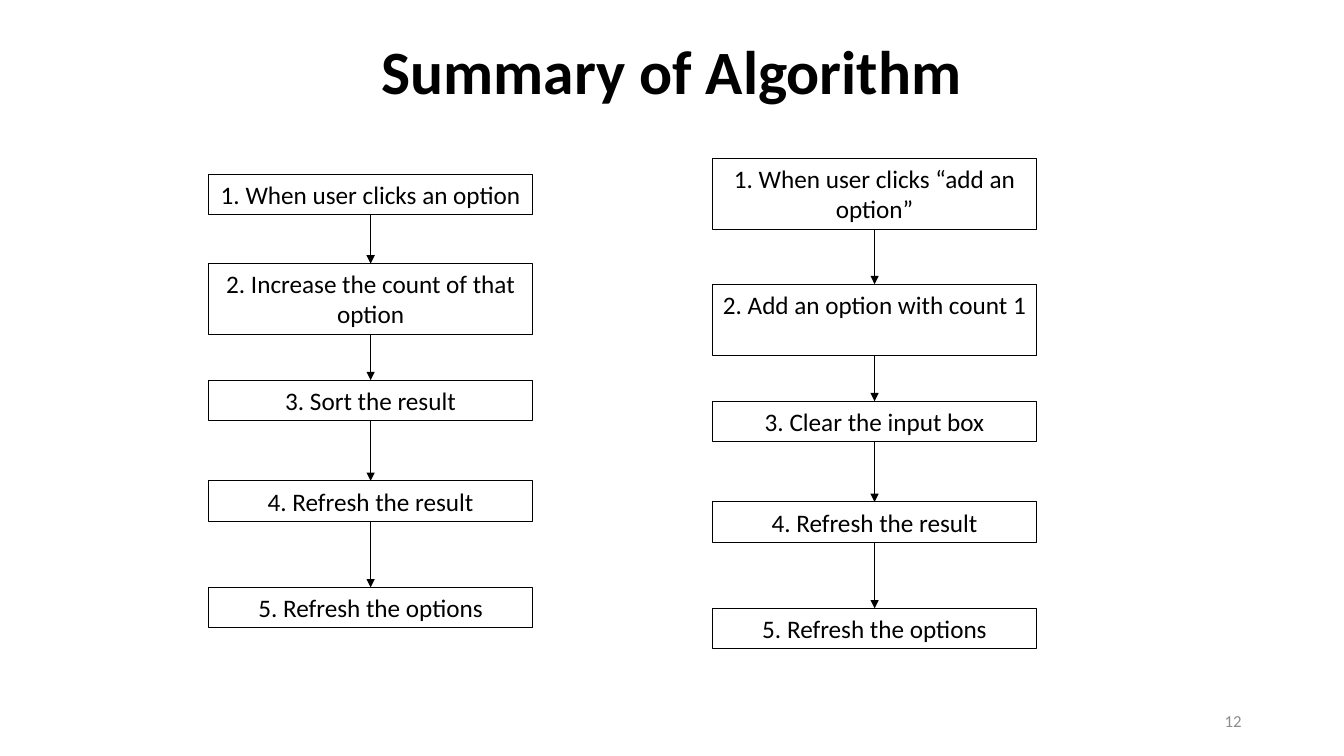
import pptx
import pptx.util
import pptx.dml.color
import pptx.enum.shapes
import pptx.enum.text
import pptx.oxml
import pptx.oxml.ns
from lxml import etree

Cm, Pt = pptx.util.Cm, pptx.util.Pt
RGBColor = pptx.dml.color.RGBColor
ALIGN = pptx.enum.text.PP_ALIGN
ANCHOR = pptx.enum.text.MSO_ANCHOR

BLACK = RGBColor(0x00, 0x00, 0x00)
WHITE = RGBColor(0xFF, 0xFF, 0xFF)
GRAY = RGBColor(0x8C, 0x8C, 0x8C)

BOX_W = 8.16
ONE_LINE, TWO_LINES = 1.02, 1.8

prs = pptx.Presentation()
prs.slide_width, prs.slide_height = Cm(33.87), Cm(19.05)
s = prs.slides.add_slide(prs.slide_layouts[6])


def write(sp, text, size, color, align, anchor):
    tf = sp.text_frame
    tf.word_wrap = True
    tf.vertical_anchor = anchor
    p = tf.paragraphs[0]
    p.text = text
    p.alignment = align
    p.font.name = "Calibri"
    p.font.size = Pt(size)
    p.font.color.rgb = color
    return p


# Title and slide number
sp = s.shapes.add_textbox(Cm(2.33), Cm(0.79), Cm(29.21), Cm(2.18))
p = write(sp, "Summary of Algorithm", 44, BLACK, ALIGN.CENTER, ANCHOR.MIDDLE)
p.font.bold = True
p.line_spacing = 0.9
sp = s.shapes.add_textbox(Cm(23.92), Cm(17.65), Cm(7.62), Cm(1.01))
write(sp, "12", 12, GRAY, ALIGN.RIGHT, ANCHOR.MIDDLE)

# Flow columns: left edge, then (top, height, text) of each step
flows = [
    (5.26, [
        (4.39, ONE_LINE, "1. When user clicks an option"),
        (6.64, TWO_LINES, "2. Increase the count of that option"),
        (9.58, ONE_LINE, "3. Sort the result"),
        (12.12, ONE_LINE, "4. Refresh the result"),
        (14.8, ONE_LINE, "5. Refresh the options"),
    ]),
    (17.96, [
        (3.99, TWO_LINES, "1. When user clicks “add an option”"),
        (7.16, TWO_LINES, "2. Add an option with count 1"),
        (10.11, ONE_LINE, "3. Clear the input box"),
        (12.65, ONE_LINE, "4. Refresh the result"),
        (15.33, ONE_LINE, "5. Refresh the options"),
    ]),
]

for left, steps in flows:
    # Step boxes
    boxes = []
    for top, height, text in steps:
        sp = s.shapes.add_shape(pptx.enum.shapes.MSO_SHAPE.RECTANGLE,
                                Cm(left), Cm(top), Cm(BOX_W), Cm(height))
        sp.shadow.inherit = False
        sp.fill.solid()
        sp.fill.fore_color.rgb = WHITE
        sp.line.color.rgb = BLACK
        sp.line.width = Pt(0.75)
        sp.text_frame.margin_left = sp.text_frame.margin_right = Cm(0.2)
        write(sp, text, 18, BLACK, ALIGN.CENTER, ANCHOR.TOP)
        boxes.append(sp)

    # Arrows from the bottom of each box to the top of the next
    for upper, lower in zip(boxes, boxes[1:]):
        arrow = s.shapes.add_connector(
            pptx.enum.shapes.MSO_CONNECTOR.STRAIGHT, 0, 0, 0, 0)
        arrow.begin_connect(upper, 2)
        arrow.end_connect(lower, 0)
        arrow.line.color.rgb = BLACK
        arrow.line.width = Pt(0.5)
        ln = arrow.line._get_or_add_ln()
        etree.SubElement(ln, pptx.oxml.ns.qn("a:tailEnd"), type="triangle")
        etree.SubElement(ln.getparent(), pptx.oxml.ns.qn("a:effectLst"))

prs.save("out.pptx")
